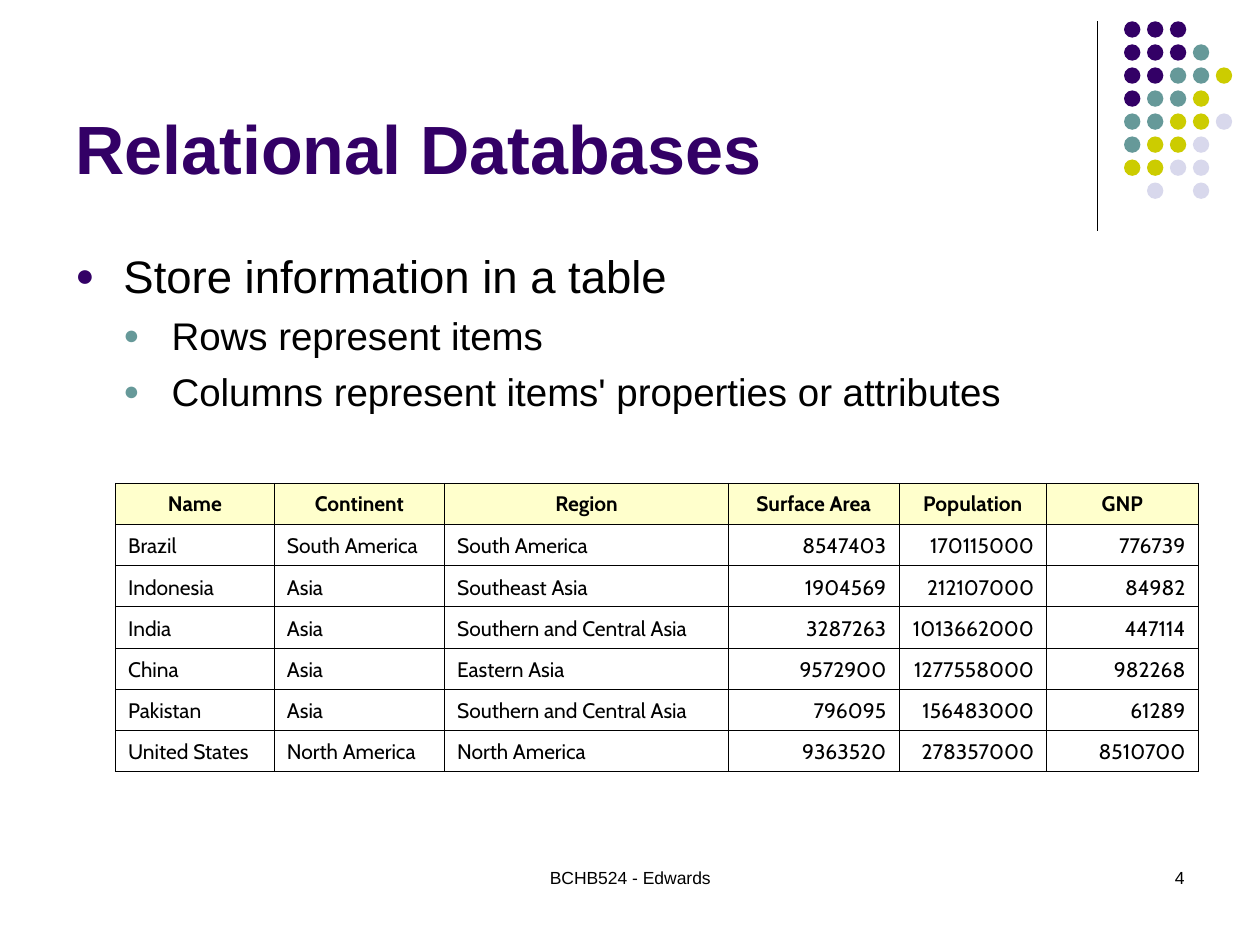
from lxml import etree
from pptx import Presentation
from pptx import util as u
from pptx.dml.color import RGBColor
from pptx.enum import shapes, text
from pptx.oxml import ns

PURPLE = RGBColor(0x33, 0x00, 0x66)
TEAL = RGBColor(0x66, 0x99, 0x99)
OLIVE = RGBColor(0xCC, 0xCC, 0x00)
LAVENDER = RGBColor(0xD8, 0xD8, 0xEC)
CREAM = RGBColor(0xFF, 0xFF, 0xCC)
WHITE = RGBColor(0xFF, 0xFF, 0xFF)
BLACK = RGBColor(0x00, 0x00, 0x00)

DOT_COLORS = {"P": PURPLE, "T": TEAL, "O": OLIVE, "L": LAVENDER}
DOT_ROWS = ["PPP", "PPPT", "PPTTO", "PTTO", "TTOOL", "TOOL", "OOLL", " L L"]
DOT_SIZE = u.Cm(0.33)

BULLETS = [
    (0, "Store information in a table"),
    (1, "Rows represent items"),
    (1, "Columns represent items' properties or attributes"),
]
# Per level: text size, space before, bullet colour
LEVELS = [(26, 6.5, PURPLE), (22, 5.5, TEAL)]
INDENT = u.Cm(0.97)

COLUMN_WIDTHS = [3.2, 3.43, 5.73, 3.43, 2.98, 3.05]
ROW_HEIGHT = u.Cm(0.83)
HEADER = ["Name", "Continent", "Region", "Surface Area", "Population", "GNP"]
COUNTRIES = [
    ("Brazil", "South America", "South America", 8547403, 170115000, 776739),
    ("Indonesia", "Asia", "Southeast Asia", 1904569, 212107000, 84982),
    ("India", "Asia", "Southern and Central Asia", 3287263, 1013662000, 447114),
    ("China", "Asia", "Eastern Asia", 9572900, 1277558000, 982268),
    ("Pakistan", "Asia", "Southern and Central Asia", 796095, 156483000, 61289),
    ("United States", "North America", "North America", 9363520, 278357000, 8510700),
]


def place(shape, left, top, width, height):
    shape.left, shape.top = u.Cm(left), u.Cm(top)
    shape.width, shape.height = u.Cm(width), u.Cm(height)


def style(para, size, color=BLACK, name="Arial", bold=False):
    font = para.font
    font.size, font.name, font.bold = u.Pt(size), name, bold
    font.color.rgb = color


def add_child(parent, tag, **attributes):
    return etree.SubElement(parent, ns.qn(tag), attributes)


def add_rule(page):
    rule = page.shapes.add_connector(
        shapes.MSO_CONNECTOR.STRAIGHT, u.Cm(22.12), u.Cm(0.43), u.Cm(22.12), u.Cm(4.65))
    rule.line.color.rgb = BLACK
    rule.line.width = u.Pt(0.75)
    add_child(rule._element.spPr, "a:effectLst")


def add_dots(page):
    group = page.shapes.add_group_shape()
    for row, pattern in enumerate(DOT_ROWS):
        for column, code in enumerate(pattern):
            if code == " ":
                continue
            dot = group.shapes.add_shape(
                shapes.MSO_SHAPE.OVAL, u.Cm(22.66 + column * 1.85 / 4),
                u.Cm(0.43 + row * 3.25 / 7), DOT_SIZE, DOT_SIZE)
            dot.shadow.inherit = False
            dot.fill.solid()
            dot.fill.fore_color.rgb = DOT_COLORS[code]
            dot.line.fill.background()


def format_title(page):
    title = page.shapes.title
    place(title, 1.27, 0.33, 20.95, 3.6)
    frame = title.text_frame
    frame.text = "Relational Databases"
    frame.auto_size = text.MSO_AUTO_SIZE.NONE
    frame.vertical_anchor = text.MSO_ANCHOR.BOTTOM
    para = frame.paragraphs[0]
    para.alignment = text.PP_ALIGN.LEFT
    style(para, 39, PURPLE, bold=True)


def add_text_box(page, left, top, width, height):
    box = page.shapes.add_textbox(u.Cm(left), u.Cm(top), u.Cm(width), u.Cm(height))
    box.text_frame.word_wrap = True
    return box.text_frame


def add_bullet(para, level, color):
    props = para._p.get_or_add_pPr()
    props.set("marL", str(INDENT * (level + 1)))
    props.set("indent", str(-INDENT))
    add_child(add_child(props, "a:buClr"), "a:srgbClr", val=str(color))
    add_child(props, "a:buSzPct", val="70000")
    add_child(props, "a:buFont", typeface="Arial")
    add_child(props, "a:buChar", char="●")


def add_bullet_list(page):
    frame = add_text_box(page, 1.27, 4.88, 21.8, 12.14)
    for index, (level, words) in enumerate(BULLETS):
        para = frame.add_paragraph() if index else frame.paragraphs[0]
        size, gap, color = LEVELS[level]
        para.text = words
        para.level = level
        add_bullet(para, level, color)
        para.space_before = u.Pt(gap if index else 0)
        style(para, size)


def add_borders(cell):
    props = cell._tc.get_or_add_tcPr()
    for side in ("a:lnL", "a:lnR", "a:lnT", "a:lnB"):
        line = add_child(props, side, w=str(u.Pt(0.45)))
        add_child(add_child(line, "a:solidFill"), "a:srgbClr", val=str(BLACK))


def fill_cell(cell, value, is_header):
    add_borders(cell)
    cell.fill.solid()
    cell.fill.fore_color.rgb = CREAM if is_header else WHITE
    cell.vertical_anchor = text.MSO_ANCHOR.MIDDLE if is_header else text.MSO_ANCHOR.BOTTOM
    cell.text = str(value)
    para = cell.text_frame.paragraphs[0]
    if is_header:
        para.alignment = text.PP_ALIGN.CENTER
    else:
        para.alignment = text.PP_ALIGN.RIGHT if isinstance(value, int) else text.PP_ALIGN.LEFT
    style(para, 12, name="Cabin", bold=is_header)


def add_country_table(page):
    rows = [HEADER, *COUNTRIES]
    table = page.shapes.add_table(
        len(rows), len(HEADER), u.Cm(2.33), u.Cm(9.74),
        u.Cm(sum(COLUMN_WIDTHS)), ROW_HEIGHT * len(rows)).table
    for column, width in zip(table.columns, COLUMN_WIDTHS):
        column.width = u.Cm(width)
    for r, values in enumerate(rows):
        table.rows[r].height = ROW_HEIGHT
        for c, value in enumerate(values):
            fill_cell(table.cell(r, c), value, r == 0)


def add_footer(page, words, left, width, alignment):
    para = add_text_box(page, left, 17.36, width, 1.27).paragraphs[0]
    para.text = words
    para.alignment = alignment
    style(para, 10)


def main():
    deck = Presentation()
    deck.slide_width, deck.slide_height = u.Cm(25.4), u.Cm(19.05)
    page = deck.slides.add_slide(deck.slide_layouts[5])
    add_rule(page)
    add_dots(page)
    add_footer(page, "BCHB524 - Edwards", 8.68, 8.05, text.PP_ALIGN.CENTER)
    add_footer(page, "4", 18.2, 5.93, text.PP_ALIGN.RIGHT)
    format_title(page)
    add_bullet_list(page)
    add_country_table(page)
    deck.save("out.pptx")


if __name__ == "__main__":
    main()
